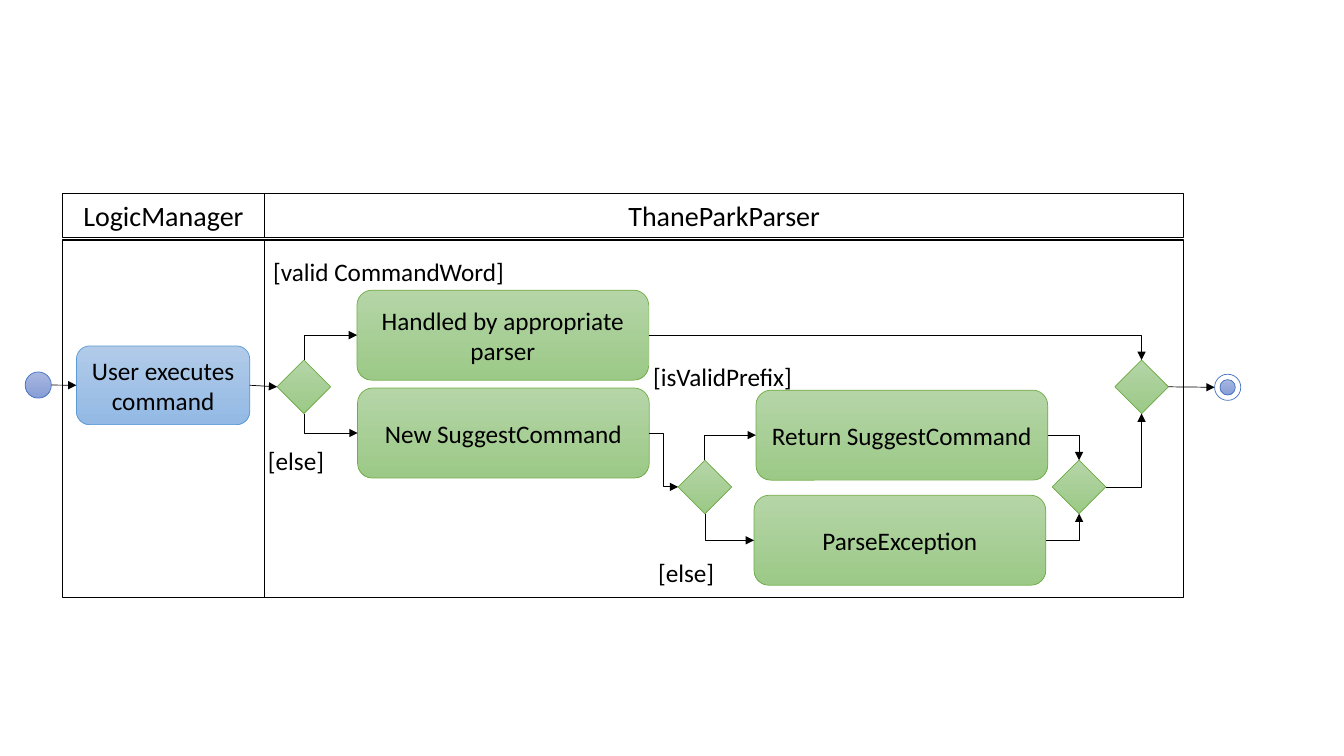
from dataclasses import dataclass

from lxml import etree
from pptx import Presentation
from pptx.dml.color import RGBColor
from pptx.enum import shapes as es, text as et
from pptx.oxml import ns
from pptx.util import Pt

KIND = es.MSO_SHAPE
ELBOW, STRAIGHT = es.MSO_CONNECTOR.ELBOW, es.MSO_CONNECTOR.STRAIGHT
TOP, LEFT, BOTTOM, RIGHT = range(4)


@dataclass(frozen=True)
class Theme:
    font: str = "Calibri"
    body: int = 18
    header: int = 20
    ink: str = "000000"
    white: str = "FFFFFF"
    # gradient top, gradient bottom, outline
    green: tuple = ("B5D5A7", "9CC987", "70AD47")
    blue: tuple = ("B1CBE9", "93B9E4", "5B9BD5")
    indigo: tuple = ("A8B7DF", "889ED7", "4472C4")
    thin: float = 0.5
    header_line: float = 0.75
    body_line: float = 1


T = Theme()
DIAMOND = 38.2
DOT, INNER_DOT = 18.7, 11
HEADER_H, HEADER_GAP = 31.7, 1.5
STEP_W, STEP_H = 208.4, 64.3


def rgb(value):
    return RGBColor.from_string(value)


def write(sp, words, size, align=et.PP_ALIGN.CENTER):
    tf = sp.text_frame
    tf.word_wrap = True
    p = tf.paragraphs[0]
    p.alignment = align
    r = p.add_run()
    r.text = words
    r.font.name, r.font.size = T.font, Pt(size)
    r.font.color.rgb = rgb(T.ink)


def shape(s, kind, x, y, w, h, line, width=T.thin, colours=None):
    """Add an outlined shape, with a vertical gradient if colours are given."""
    sp = s.shapes.add_shape(kind, Pt(x), Pt(y), Pt(w), Pt(h))
    sp.shadow.inherit = False
    sp.line.color.rgb, sp.line.width = rgb(line), Pt(width)
    if colours:
        sp.fill.gradient()
        sp.fill.gradient_angle = 270
        for stop, colour, at in zip(sp.fill.gradient_stops, colours, (0, 1)):
            stop.color.rgb, stop.position = rgb(colour), at
    else:
        sp.fill.background()
    return sp


def action(s, words, x, y, w=STEP_W, h=STEP_H, colours=T.green):
    sp = shape(s, KIND.ROUNDED_RECTANGLE, x, y, w, h, colours[2], colours=colours)
    write(sp, words, T.body)
    return sp


def decision(s, x, y):
    return shape(s, KIND.DIAMOND, x, y, DIAMOND, DIAMOND, T.green[2], colours=T.green)


def dot(s, x, y, size=DOT, colours=T.indigo):
    return shape(s, KIND.OVAL, x, y, size, size, T.indigo[2], colours=colours)


def guard(s, words, x, y, w):
    sp = s.shapes.add_textbox(Pt(x), Pt(y), Pt(w), Pt(29))
    write(sp, words, T.body, et.PP_ALIGN.LEFT)


def lane(s, title, x, y, w, h):
    """Draw a titled lane and return the left and top of its body."""
    head = shape(s, KIND.RECTANGLE, x, y, w, HEADER_H, T.ink, T.header_line)
    write(head, title, T.header)
    top = y + HEADER_H + HEADER_GAP
    shape(s, KIND.RECTANGLE, x, top, w, h - HEADER_H - HEADER_GAP, T.ink, T.body_line)
    return x, top


def turn_vertical_first(c):
    """Rotate a one-bend connector so that it leaves its start vertically."""
    x1, y1, x2, y2 = c.begin_x, c.begin_y, c.end_x, c.end_y
    up = y2 < y1
    run, rise = abs(y2 - y1), (x1 - x2 if up else x2 - x1)
    mid_x, mid_y = (x1 + x2) // 2, (y1 + y2) // 2
    c.begin_x, c.begin_y = mid_x + run // 2, mid_y - rise // 2
    c.end_x, c.end_y = mid_x - run // 2, mid_y + rise // 2
    c._element.spPr.find(ns.qn("a:xfrm")).set("rot", str((90 if up else 270) * 60000))


def arrow(s, start, start_side, end, end_side, kind=ELBOW):
    c = s.shapes.add_connector(kind, 0, 0, 0, 0)
    c.begin_connect(start, start_side)
    c.end_connect(end, end_side)
    for sp, tag in ((start, "a:stCxn"), (end, "a:endCxn")):
        if sp.auto_shape_type == KIND.OVAL:  # ovals have eight sites, not four
            site = next(c._element.iter(ns.qn(tag)))
            site.set("idx", str(2 * int(site.get("idx"))))
    c.line.color.rgb, c.line.width = rgb(T.ink), Pt(T.thin)
    spPr = c._element.spPr
    etree.SubElement(spPr.find(ns.qn("a:ln")), ns.qn("a:tailEnd"), type="triangle")
    etree.SubElement(spPr, ns.qn("a:effectLst"))
    sides_differ = start_side % 2 != end_side % 2
    if kind == ELBOW and sides_differ:
        spPr.find(ns.qn("a:prstGeom")).set("prst", "bentConnector2")
        if start_side in (TOP, BOTTOM):
            turn_vertical_first(c)


def logic_lane(s, x, y, w, h):
    """Return the lane's only action."""
    left, top = lane(s, "LogicManager", x, y, w, h)
    return action(s, "User executes command", left + 10, top + 75.6, 123.8, 56.2, T.blue)


def parser_lane(s, x, y, w, h):
    """Return the first decision and the last merge."""
    left, top = lane(s, "ThaneParkParser", x, y, w, h)
    for words, dx, dy, width in (
        ("[valid CommandWord]", -1, 7.9, 208),
        ("[else]", -4.7, 143.2, 67),
        ("[isValidPrefix]", 270.4, 82.8, 163),
        ("[else]", 274, 223.2, 67),
    ):
        guard(s, words, left + dx, top + dy, width)

    word_check, last_merge = (decision(s, left + dx, top + 85.7) for dx in (9, 607.3))
    prefix_check, prefix_merge = (decision(s, left + dx, top + 157.2) for dx in (295.4, 562.7))
    handled, suggest, returned, failed = (
        action(s, words, left + dx, top + dy)
        for words, dx, dy in (
            ("Handled by appropriate parser", 66, 35.8),
            ("New SuggestCommand", 66.4, 105.7),
            ("Return SuggestCommand", 351, 107.2),
            ("ParseException", 349.6, 182.3),
        )
    )
    for link in (
        (word_check, TOP, handled, LEFT),
        (word_check, BOTTOM, suggest, LEFT),
        (handled, RIGHT, last_merge, TOP),
        (suggest, RIGHT, prefix_check, LEFT),
        (prefix_check, TOP, returned, LEFT),
        (prefix_check, BOTTOM, failed, LEFT),
        (returned, RIGHT, prefix_merge, TOP),
        (failed, RIGHT, prefix_merge, BOTTOM),
        (prefix_merge, RIGHT, last_merge, BOTTOM),
    ):
        arrow(s, *link)
    return word_check, last_merge


def end_node(s, x, y):
    ring = dot(s, x, y, colours=None)
    ring.fill.solid()
    ring.fill.fore_color.rgb = rgb(T.white)
    inset = (DOT - INNER_DOT) / 2
    dot(s, x + inset, y + inset, INNER_DOT)
    return ring


def activity_diagram(s, x, y, w, h):
    logic_w = 144.4
    user = logic_lane(s, x, y, logic_w, h)
    first, last = parser_lane(s, x + logic_w, y, w - logic_w, h)
    start = dot(s, x - 26.6, y + 127.4)
    end = end_node(s, x + w + 22, y + 129)
    for source, target in ((start, user), (user, first), (last, end)):
        arrow(s, source, RIGHT, target, LEFT, STRAIGHT)


def main():
    prs = Presentation()
    prs.slide_width, prs.slide_height = Pt(960), Pt(540)
    s = prs.slides.add_slide(prs.slide_layouts[6])
    activity_diagram(s, 44.6, 138.3, 801, 288.7)
    prs.save("out.pptx")


if __name__ == "__main__":
    main()
